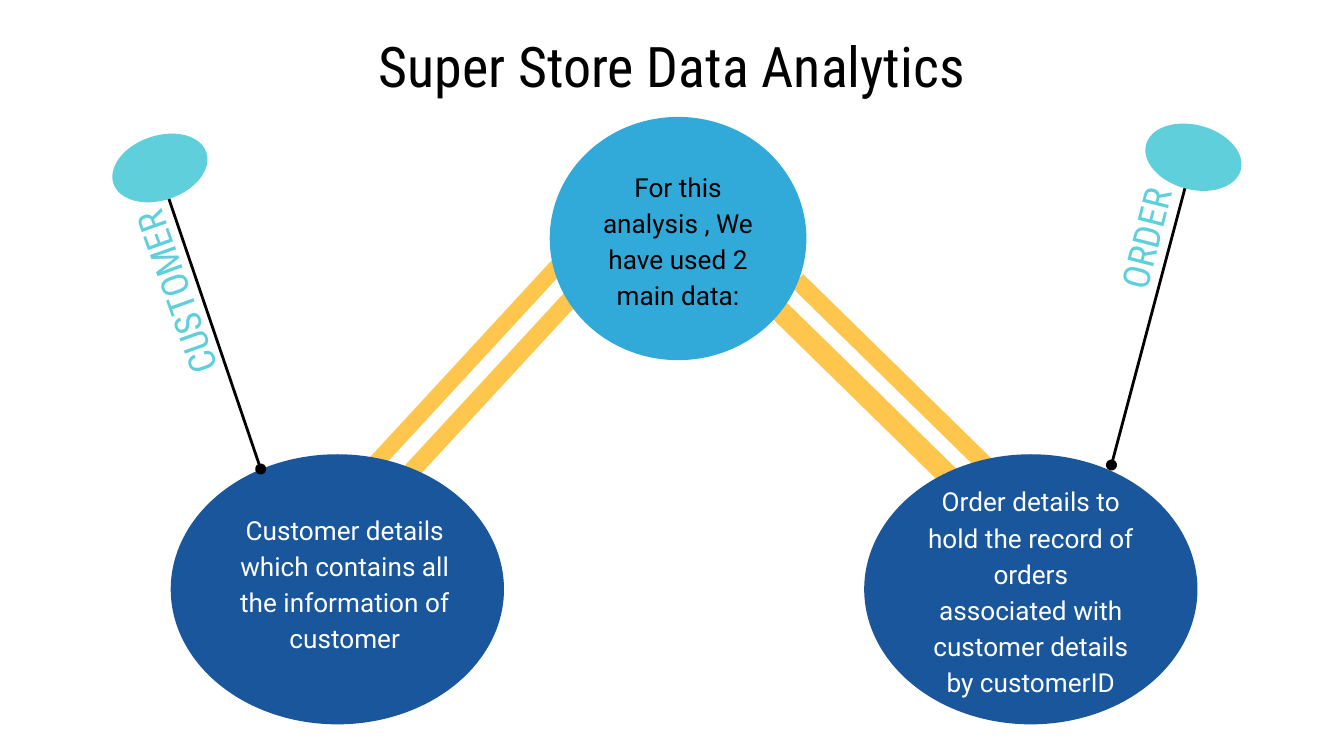
from lxml.etree import SubElement
from pptx import Presentation
from pptx.dml.color import RGBColor
from pptx.enum.shapes import MSO_CONNECTOR, MSO_SHAPE
from pptx.enum.text import MSO_ANCHOR, PP_ALIGN
from pptx.oxml.ns import qn
from pptx.util import Inches, Pt

BLACK, WHITE, YELLOW = "000000", "FFFFFF", "FFC64E"
SKY, NAVY, TEAL = "32AAD9", "1A569C", "5FD0DB"
TITLE_FORMAT = {"name": "Roboto Condensed", "size": Pt(30)}
LABEL_FORMAT = {"name": "Roboto Condensed", "size": Pt(20)}
BODY_FORMAT = {"name": "Roboto", "size": Pt(14)}


def set_color(target, color):
    """Give a font, line or fill one solid colour."""
    fill = target if hasattr(target, "solid") else target.fill
    fill.solid()
    fill.fore_color.rgb = RGBColor.from_string(color)


def set_format(target, values):
    """Set every attribute named in a dict."""
    for name, value in values.items():
        setattr(target, name, value)


def write_text(shape, text, font_format, color, spacing=1.0, align=PP_ALIGN.CENTER,
               anchor=MSO_ANCHOR.MIDDLE, side_margin=0.1, vertical_margin=0.1):
    """Write one formatted paragraph into a shape."""
    set_format(shape.text_frame, {
        "word_wrap": True, "vertical_anchor": anchor,
        "margin_left": Inches(side_margin), "margin_right": Inches(side_margin),
        "margin_top": Inches(vertical_margin), "margin_bottom": Inches(vertical_margin),
    })
    paragraph = shape.text_frame.paragraphs[0]
    set_format(paragraph, {"alignment": align, "line_spacing": spacing})
    run = paragraph.add_run()
    run.text = text
    set_format(run.font, font_format)
    set_color(run.font, color)


def add_figure(shapes, kind, box, color, rotation=0):
    """Add a flat, filled preset shape without an outline."""
    shape = shapes.add_shape(kind, *map(Inches, box))
    set_color(shape.fill, color)
    shape.line.fill.background()
    shape.shadow.inherit = False
    shape.rotation = rotation
    return shape


def add_title(slide, box, text):
    """Add the heading."""
    title = slide.shapes.add_textbox(*map(Inches, box))
    write_text(title, text, TITLE_FORMAT, BLACK)


def add_link(slide, bars, rotation):
    """Add parallel slanted bars between two circles."""
    for bar in bars:
        add_figure(slide.shapes, MSO_SHAPE.RECTANGLE, bar, YELLOW, rotation)


def add_circle(slide, box, color, text, text_color):
    """Add a circle with its text inside."""
    circle = add_figure(slide.shapes, MSO_SHAPE.OVAL, box, color)
    write_text(circle, text, BODY_FORMAT, text_color, 1.15, side_margin=0.11)


def add_customer_circle(slide, box, text):
    """Add the customer circle with a wider text box over it."""
    left, top, width, height = box
    add_figure(slide.shapes, MSO_SHAPE.OVAL, box, NAVY)
    text_box = slide.shapes.add_textbox(
        Inches(left + 0.3), Inches(top + 0.36), Inches(1.99), Inches(1.16))
    write_text(text_box, text, BODY_FORMAT, WHITE, 1.15,
               anchor=MSO_ANCHOR.TOP, vertical_margin=0.05)


def add_pin(slide, box, direction, text, label_offset, label_rotation, disc_rotation):
    """Add a leaning pin: label, stem across the box and disc at its top."""
    left, top, width, height = box
    start, end = (left, left + width)[::direction]
    shapes = slide.shapes.add_group_shape().shapes

    across, down = label_offset
    label_width, label_height = 1.78, 0.74
    label = shapes.add_textbox(
        Inches(start + across - label_width / 2), Inches(top + down - label_height / 2),
        Inches(label_width), Inches(label_height))
    label.rotation = label_rotation
    write_text(label, text, LABEL_FORMAT, TEAL, align=PP_ALIGN.RIGHT)

    stem = shapes.add_connector(
        MSO_CONNECTOR.STRAIGHT, Inches(start), Inches(top), Inches(end), Inches(top + height))
    set_color(stem.line, BLACK)
    stem.line.width = Pt(1.5)
    SubElement(stem.line._get_or_add_ln(), qn("a:tailEnd"), type="oval")
    SubElement(stem._element.spPr, qn("a:effectLst"))

    disc_width, disc_height = 0.48, 0.73
    disc_box = (start - 0.05 * direction - disc_width / 2,
                top - 0.18 - disc_height / 2, disc_width, disc_height)
    add_figure(shapes, MSO_SHAPE.OVAL, disc_box, TEAL, disc_rotation)


def main():
    """Build and save the slide."""
    presentation = Presentation()
    slide_width = Inches(10)
    set_format(presentation, {"slide_width": slide_width,
                              "slide_height": slide_width * 9 // 16})
    slide = presentation.slides.add_slide(presentation.slide_layouts[6])

    add_title(slide, (0.5, 0.22, 9, 0.53), "Super Store Data Analytics")
    add_link(slide, [(3.32, 1.67, 0.12, 2.28), (3.45, 1.93, 0.13, 2.17)], 222.7)
    add_link(slide, [(6.64, 1.76, 0.13, 2.17), (6.51, 1.96, 0.16, 2.25)], 134.4)
    add_circle(slide, (4.09, 0.87, 1.91, 1.81), SKY,
               "For this analysis , We have used 2 main data:", BLACK)
    add_circle(slide, (6.43, 3.38, 2.48, 2.01), NAVY,
               "Order details to hold the record of orders associated with "
               "customer details by customerID", WHITE)
    add_customer_circle(slide, (1.27, 3.38, 2.48, 2.01),
                        "Customer details which contains all the information of customer")
    add_pin(slide, (1.24, 1.43, 0.7, 2.06), 1, "CUSTOMER", (0.12, 0.9), 250.4, 251.4)
    add_pin(slide, (8.27, 1.35, 0.56, 2.11), -1, "ORDER", (-0.41, 0.82), 284.2, 285.1)

    presentation.save("out.pptx")


if __name__ == "__main__":
    main()
